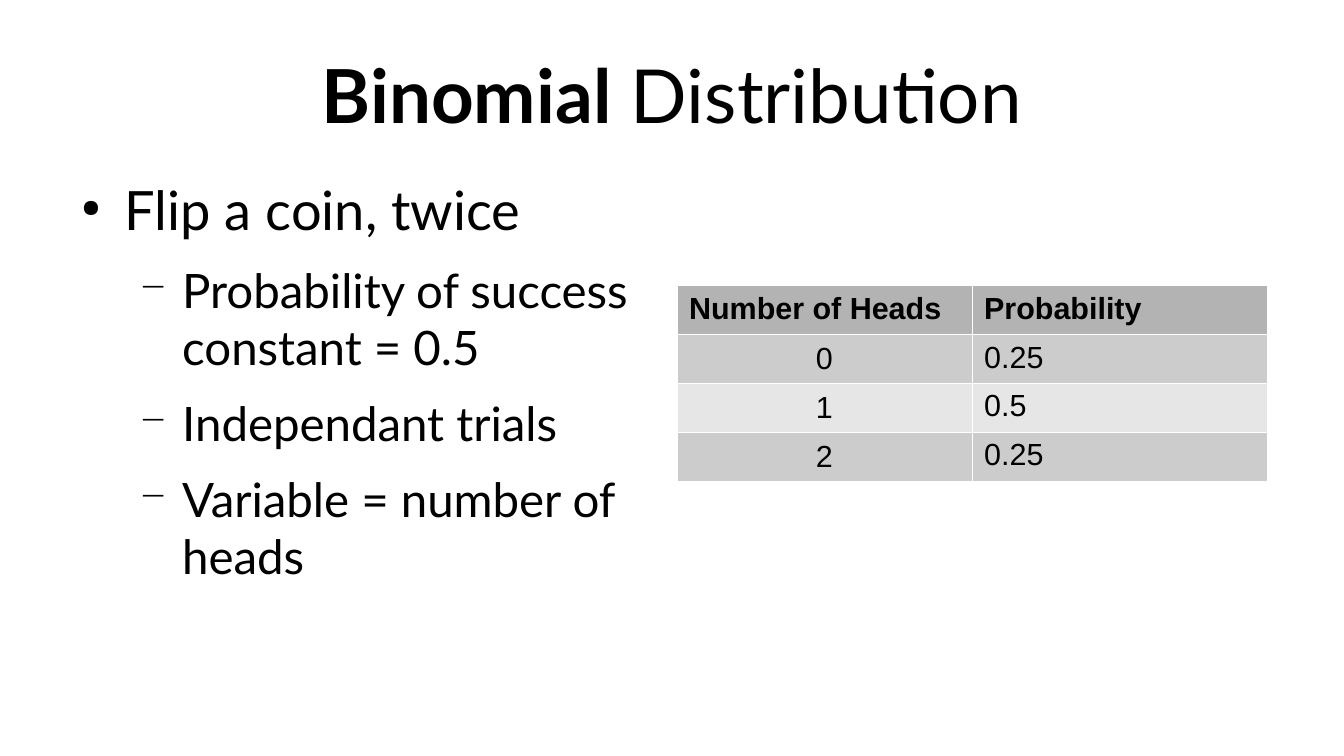
from lxml.etree import SubElement
from pptx import Presentation
from pptx.dml.color import RGBColor
from pptx.enum.text import MSO_ANCHOR as Anchor, PP_ALIGN as Align
from pptx.oxml.ns import qn
from pptx.util import Pt

SLIDE_SIZE = (793.44, 446.4)
TITLE_BOX = (39.6, 18, 714.24, 74.88)
BODY_BOX = (39.6, 104.4, 348.48, 259.2)
TABLE_BOX = (399.6, 168.6, 348.48, 110.16)

TITLE = [("Binomial", True), (" Distribution", False)]
BULLETS = [
    (0, "Flip a coin, twice"),
    (1, "Probability of success constant = 0.5"),
    (1, "Independant trials"),
    (1, "Variable = number of heads"),
]
LEVELS = [
    {"size": 32, "before": 0, "symbol": "●", "percent": 45},
    {"size": 28, "before": 11.3, "symbol": "−", "percent": 75},
]
INDENT, HANGING = 34, 25.5

ROWS = [
    ("Number of Heads", "Probability"),
    ("0", "0.25"),
    ("1", "0.5"),
    ("2", "0.25"),
]
HEADER_FILL, BAND_FILLS = "B3B3B3", ("E6E6E6", "CCCCCC")
BLACK, WHITE = "000000", "FFFFFF"
BORDER_WIDTH = 0.06


def color(hex_value):
    return RGBColor.from_string(hex_value)


def set_values(target, values):
    for name, value in values.items():
        setattr(target, name, value)


def add_run(paragraph, text, font, size, bold=False):
    run = paragraph.add_run()
    run.text = text
    set_values(run.font, {"name": font, "size": Pt(size), "bold": bold})
    run.font.color.rgb = color(BLACK)


def add_frame(slide, box, anchor):
    """Add a text box without margins and return its text frame."""
    frame = slide.shapes.add_textbox(*map(Pt, box)).text_frame
    set_values(frame, {
        "word_wrap": True, "vertical_anchor": anchor,
        "margin_left": 0, "margin_top": 0, "margin_right": 0, "margin_bottom": 0,
    })
    return frame


def set_bullet(paragraph, level, symbol, percent):
    properties = paragraph._p.get_or_add_pPr()
    properties.set("marL", str(Pt(INDENT * (level + 1))))
    properties.set("indent", str(-Pt(HANGING)))
    bullet_color = SubElement(properties, qn("a:buClr"))
    SubElement(bullet_color, qn("a:srgbClr"), val=BLACK)
    SubElement(properties, qn("a:buSzPct"), val=str(percent * 1000))
    SubElement(properties, qn("a:buChar"), char=symbol)


def set_borders(cell):
    properties = cell._tc.get_or_add_tcPr()
    for side in "LRTB":
        line = SubElement(properties, qn(f"a:ln{side}"), w=str(Pt(BORDER_WIDTH)))
        fill = SubElement(line, qn("a:solidFill"))
        SubElement(fill, qn("a:srgbClr"), val=WHITE)


def add_title(slide):
    paragraph = add_frame(slide, TITLE_BOX, Anchor.MIDDLE).paragraphs[0]
    paragraph.alignment = Align.CENTER
    for text, bold in TITLE:
        add_run(paragraph, text, "Lato", 44, bold)


def add_bullets(slide):
    frame = add_frame(slide, BODY_BOX, Anchor.TOP)
    for index, (level, text) in enumerate(BULLETS):
        style = LEVELS[level]
        paragraph = frame.add_paragraph() if index else frame.paragraphs[0]
        set_bullet(paragraph, level, style["symbol"], style["percent"])
        set_values(paragraph, {"level": level, "space_before": Pt(style["before"])})
        add_run(paragraph, text, "Lato", style["size"])


def add_probabilities(slide):
    shape = slide.shapes.add_table(len(ROWS), len(ROWS[0]), *map(Pt, TABLE_BOX))
    table = shape.table
    table.horz_banding = False
    for row_index, row in enumerate(ROWS):
        header = row_index == 0
        for column_index, text in enumerate(row):
            cell = table.cell(row_index, column_index)
            set_borders(cell)
            cell.fill.solid()
            cell.fill.fore_color.rgb = color(HEADER_FILL if header else BAND_FILLS[row_index % 2])
            paragraph = cell.text_frame.paragraphs[0]
            if not header and column_index == 0:
                cell.vertical_anchor = Anchor.MIDDLE
                paragraph.alignment = Align.CENTER
            add_run(paragraph, text, "Arial", 18, header)


def main():
    presentation = Presentation()
    presentation.slide_width, presentation.slide_height = map(Pt, SLIDE_SIZE)
    slide = presentation.slides.add_slide(presentation.slide_layouts[6])
    add_title(slide)
    add_bullets(slide)
    add_probabilities(slide)
    presentation.save("out.pptx")


if __name__ == "__main__":
    main()
